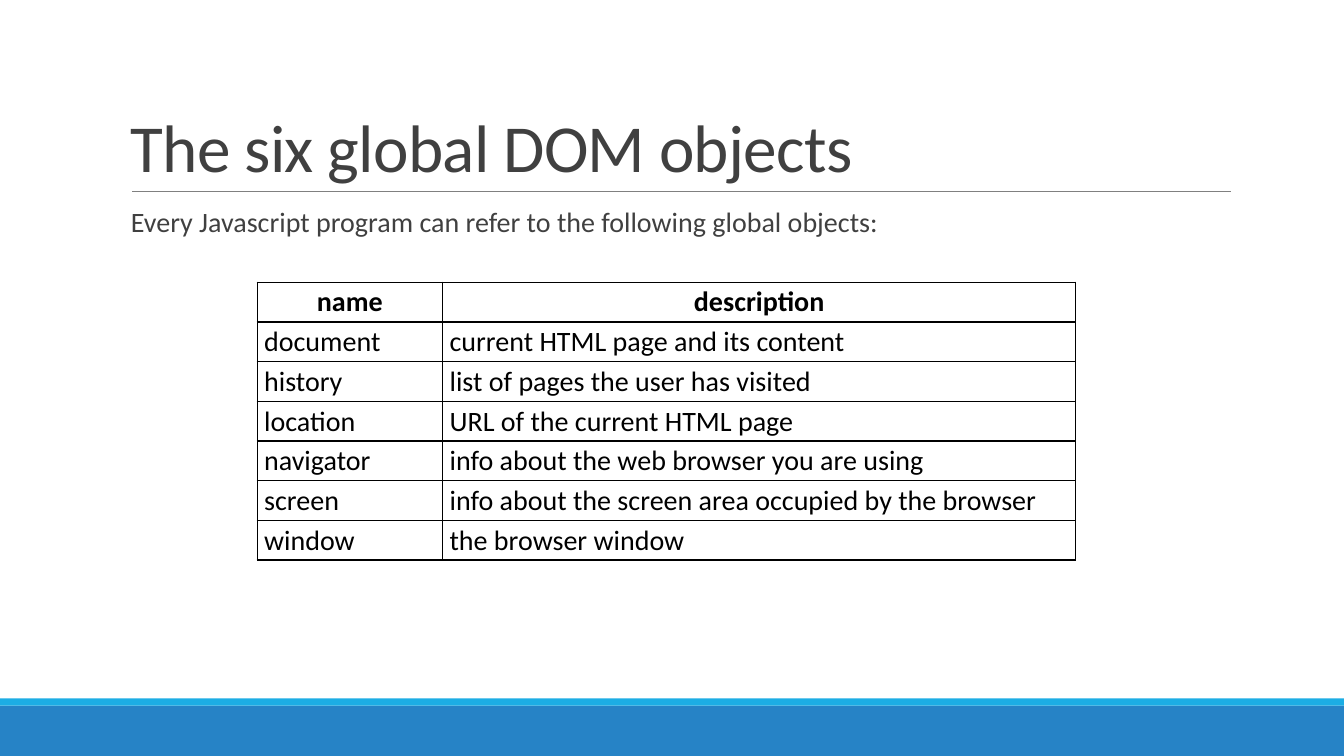
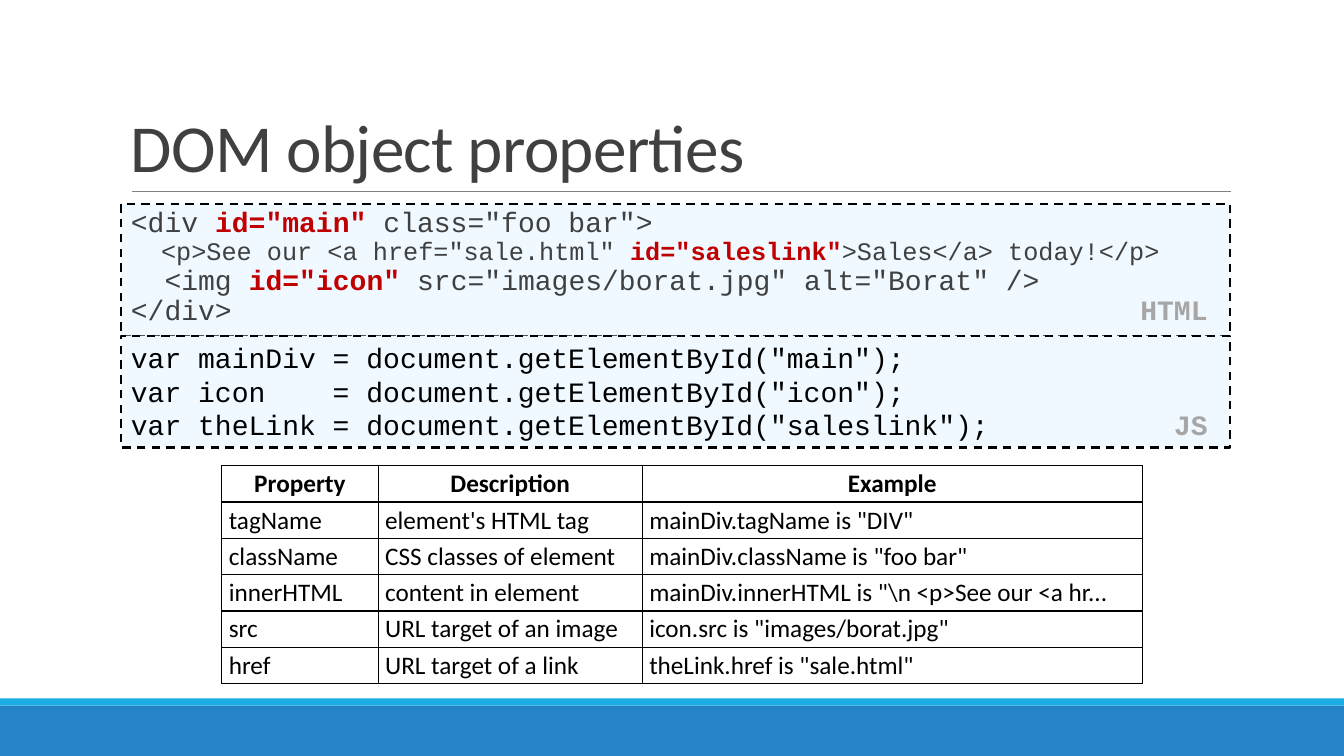
from typing import NamedTuple, Optional

import lxml.etree
import pptx
import pptx.dml.color
import pptx.enum.dml
import pptx.enum.shapes
import pptx.enum.text
import pptx.oxml
import pptx.oxml.ns
import pptx.util

Inches = pptx.util.Inches
Pt = pptx.util.Pt
Align = pptx.enum.text.PP_ALIGN
Anchor = pptx.enum.text.MSO_ANCHOR
qn = pptx.oxml.ns.qn

# Shared look
INK = "404040"
BLACK = "000000"
RED = "C00000"
GRAY = "A6A6A6"
RULE = "808080"
PALE = "EFF9FF"
SANS = "Calibri"
MONO = "Courier New"
LEFT, WIDTH, TOP = 1.2, 11, 2.02


class Run(NamedTuple):
    text: str
    color: Optional[str] = None
    bold: bool = False
    size: Optional[float] = None


class Band(NamedTuple):
    top: float
    height: float
    color: str


class Grid(NamedTuple):
    left: float
    top: float
    cols: list[float]
    row: float
    size: float
    rows: list[list[str]]


class Code(NamedTuple):
    top: float
    height: float
    color: str
    pitch: float
    lines: list[list[Run]]


BANDS = [Band(7, 0.5, "2683C6"), Band(6.93, 0.07, "1CADE4")]


def rgb(code: str) -> pptx.dml.color.RGBColor:
    return pptx.dml.color.RGBColor.from_string(code)


def write(frame, text, *, size: float, color: str = INK, font: str = SANS,
          bold: bool = False, align=Align.LEFT, pitch: float = 1.0,
          track: float = 0, tab: float = 0) -> None:
    """Fill a frame with a string, or with lines made of runs."""
    lines = [[Run(text, bold=bold)]] if isinstance(text, str) else text
    for i, line in enumerate(lines):
        para = frame.paragraphs[0] if i == 0 else frame.add_paragraph()
        if tab:
            props = para._p.get_or_add_pPr()
            stops = lxml.etree.SubElement(props, qn("a:tabLst"))
            lxml.etree.SubElement(stops, qn("a:tab"),
                                  pos=str(Inches(tab)), algn="r")
        para.alignment = align
        para.line_spacing = pitch
        for part in line:
            run = para.add_run()
            run.text = part.text
            run.font.name = font
            run.font.size = Pt(part.size or size)
            run.font.bold = part.bold
            run.font.color.rgb = rgb(part.color or color)
            if track:
                run.font._element.set("spc", str(round(track * 100)))


def label(slide, top: float, height: float, text: str, *,
          anchor=Anchor.TOP, **look) -> None:
    box = slide.shapes.add_textbox(Inches(LEFT), Inches(top),
                                   Inches(WIDTH), Inches(height))
    box.text_frame.word_wrap = True
    box.text_frame.vertical_anchor = anchor
    write(box.text_frame, text, **look)


def rect(slide, left: float, top: float, width: float, height: float,
         color: str):
    shape = slide.shapes.add_shape(
        pptx.enum.shapes.MSO_SHAPE.RECTANGLE, Inches(left), Inches(top),
        Inches(width), Inches(height))
    shape.shadow.inherit = False
    shape.fill.solid()
    shape.fill.fore_color.rgb = rgb(color)
    shape.line.fill.background()
    return shape


def start(deck, title: str):
    """Add a slide with bands, title rule and title."""
    slide = deck.slides.add_slide(deck.slide_layouts[6])
    for band in BANDS:
        rect(slide, 0, band.top, 13.33, band.height, band.color)
    rule = slide.shapes.add_connector(
        pptx.enum.shapes.MSO_CONNECTOR.STRAIGHT,
        Inches(1.31), Inches(1.9), Inches(12.21), Inches(1.9))
    rule.line.color.rgb = rgb(RULE)
    rule.line.width = Pt(0.5)
    lxml.etree.SubElement(rule._element.spPr, qn("a:effectLst"))
    label(slide, 0.31, 1.59, title, anchor=Anchor.BOTTOM,
          size=48, pitch=0.85, track=-0.5)
    return slide


def panel(slide, code: Code) -> None:
    """Draw a dashed code box; a tab sets its tag at the right."""
    box = rect(slide, LEFT, code.top, WIDTH, code.height, PALE)
    box.line.color.rgb = rgb(BLACK)
    box.line.width = Pt(1.5)
    box.line.dash_style = pptx.enum.dml.MSO_LINE.DASH
    frame = box.text_frame
    frame.word_wrap = True
    frame.vertical_anchor = Anchor.TOP
    write(frame, code.lines, size=20, color=code.color, font=MONO,
          pitch=code.pitch, tab=10.68)


def border(cell) -> None:
    props = cell._tc.get_or_add_tcPr()
    for i, side in enumerate(("lnL", "lnR", "lnT", "lnB")):
        line = lxml.etree.Element(qn("a:" + side), w=str(Pt(1)))
        fill = lxml.etree.SubElement(line, qn("a:solidFill"))
        lxml.etree.SubElement(fill, qn("a:srgbClr"), val=BLACK)
        props.insert(i, line)


def table(slide, grid: Grid) -> None:
    count = len(grid.rows)
    made = slide.shapes.add_table(
        count, len(grid.cols), Inches(grid.left), Inches(grid.top),
        Inches(sum(grid.cols)), Inches(grid.row * count)).table
    made.first_row = made.horz_banding = False
    for col, width in zip(made.columns, grid.cols):
        col.width = Inches(width)
    for r, row in enumerate(grid.rows):
        made.rows[r].height = Inches(grid.row)
        for c, text in enumerate(row):
            cell = made.cell(r, c)
            cell.margin_left = cell.margin_right = Inches(0.07)
            cell.margin_top = cell.margin_bottom = Inches(0.03)
            cell.fill.background()
            border(cell)
            write(cell.text_frame, text, size=grid.size, color=BLACK,
                  bold=r == 0, align=Align.CENTER if r == 0 else Align.LEFT)


# Content
GLOBALS = Grid(2.55, 2.8, [1.84, 6.28], 0.39, 20, [
    ["name", "description"],
    ["document", "current HTML page and its content"],
    ["history", "list of pages the user has visited"],
    ["location", "URL of the current HTML page"],
    ["navigator", "info about the web browser you are using"],
    ["screen", "info about the screen area occupied by the browser"],
    ["window", "the browser window"],
])

FIELDS = Grid(2.2, 4.62, [1.55, 2.62, 4.96], 0.35, 18, [
    ["Property", "Description", "Example"],
    ["tagName", "element's HTML tag", 'mainDiv.tagName is "DIV"'],
    ["className", "CSS classes of element", 'mainDiv.className is "foo bar"'],
    ["innerHTML", "content in element",
     'mainDiv.innerHTML is "\\n <p>See our <a hr...'],
    ["src", "URL target of an image", 'icon.src is "images/borat.jpg"'],
    ["href", "URL target of a link", 'theLink.href is "sale.html"'],
])

MARKUP = Code(TOP, 1.31, INK, 0.9, [
    [Run("<div "), Run('id="main" ', RED, True), Run('class="foo bar">')],
    [Run('  <p>See our <a href="sale.html" ', size=18),
     Run('id="saleslink"', RED, True, 18),
     Run(">Sales</a> today!</p>", size=18)],
    [Run("  <img "), Run('id="icon" ', RED, True),
     Run('src="images/borat.jpg" alt="Borat" />')],
    [Run("</div>\t"), Run("HTML", GRAY, True)],
])

SCRIPT = Code(3.33, 1.11, BLACK, 1.0, [
    [Run('var mainDiv = document.getElementById("main");')],
    [Run('var icon    = document.getElementById("icon");')],
    [Run('var theLink = document.getElementById("saleslink");\t'),
     Run("JS", GRAY, True)],
])


def main() -> None:
    deck = pptx.Presentation()
    deck.slide_width = Inches(13.33)
    deck.slide_height = Inches(7.5)

    # Global objects
    slide = start(deck, "The six global DOM objects")
    label(slide, TOP, 0.48,
          "Every Javascript program can refer to the following global objects:",
          size=20, pitch=0.9)
    table(slide, GLOBALS)

    # Object properties
    slide = start(deck, "DOM object properties")
    for code in (MARKUP, SCRIPT):
        panel(slide, code)
    table(slide, FIELDS)

    deck.save("out.pptx")


if __name__ == "__main__":
    main()
